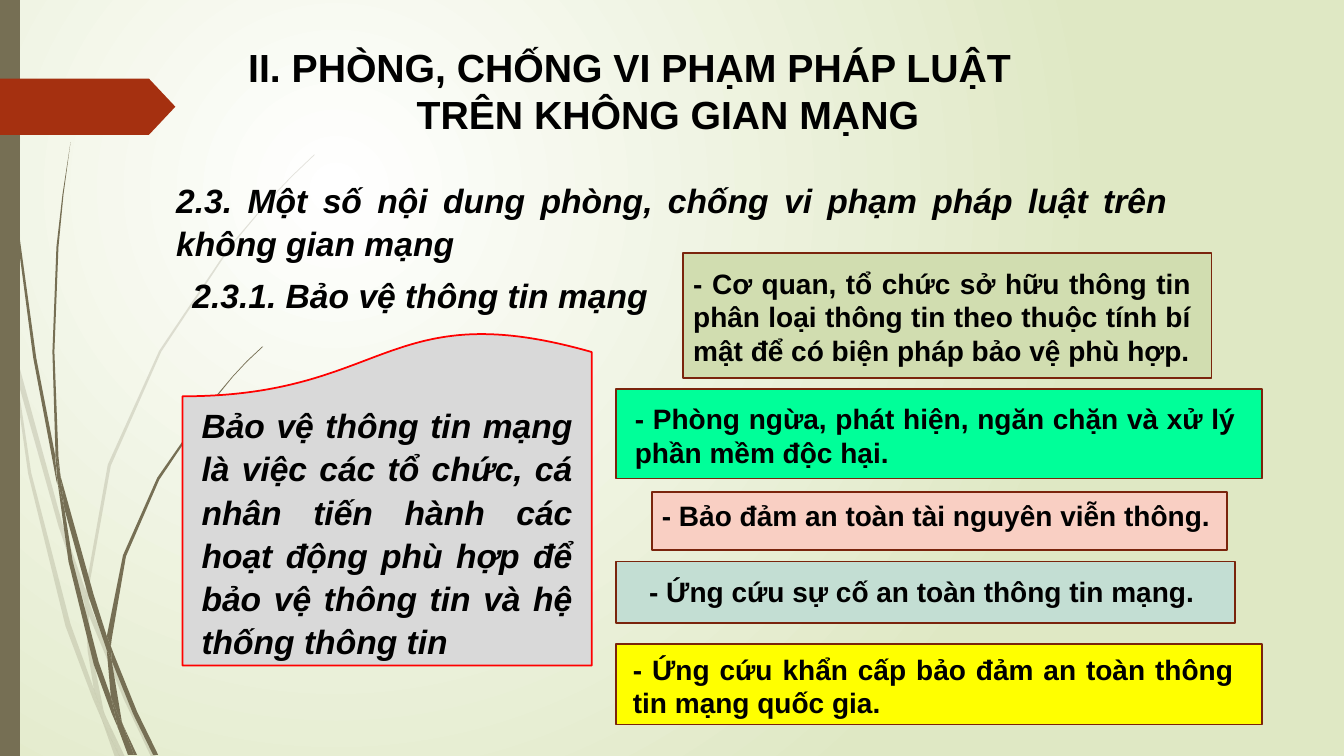
from lxml import etree
from pptx import Presentation
from pptx.dml.color import RGBColor
from pptx.enum.shapes import MSO_SHAPE
from pptx.enum.text import MSO_ANCHOR, PP_ALIGN
from pptx.oxml.ns import qn
from pptx.util import Cm, Pt

RECTANGLE = MSO_SHAPE.RECTANGLE
PENTAGON = MSO_SHAPE.PENTAGON
DOCUMENT = MSO_SHAPE.FLOWCHART_DOCUMENT
TOP = MSO_ANCHOR.TOP
CENTER = PP_ALIGN.CENTER
JUSTIFY = PP_ALIGN.JUSTIFY

BLACK = RGBColor(0x00, 0x00, 0x00)
WHITE = RGBColor(0xFF, 0xFF, 0xFF)
PALE_GREEN = RGBColor(0xDF, 0xE8, 0xC4)
OLIVE = RGBColor(0x76, 0x6F, 0x54)
RUST = RGBColor(0xA5, 0x30, 0x10)
DARK_RUST = RGBColor(0x7A, 0x24, 0x0C)
RED = RGBColor(0xFF, 0x00, 0x00)
GRAY = RGBColor(0xD9, 0xD9, 0xD9)
SAGE = RGBColor(0xD1, 0xDD, 0xB0)
MINT = RGBColor(0x00, 0xFF, 0x99)
PINK = RGBColor(0xF9, 0xCF, 0xC3)
TEAL = RGBColor(0xC3, 0xDE, 0xD3)
YELLOW = RGBColor(0xFF, 0xFF, 0x00)

FONT = "Arial"
SLIDE_WIDTH, SLIDE_HEIGHT = 33.87, 19.05
GRASS_UNIT = Cm(2.54) / 100

LIGHT_GRASS = [
    [(11, 350), (9, 322), (0, 282), (0, 299), (10, 344)],
    [(58, 522), (84, 599), (85, 586), (62, 520), (14, 345), (17, 376)],
    [(92, 607), (88, 596), (88, 610), (123, 694), (150, 751), (155, 751), (127, 692)],
    [(119, 751), (124, 751), (105, 711)],
    [(93, 683), (70, 619), (31, 469), (17, 376), (11, 350), (28, 470), (65, 621),
     (92, 693), (101, 714), (99, 707)],
    [(84, 599), (87, 646), (93, 683), (96, 692), (105, 711), (103, 706), (91, 646),
     (88, 610), (88, 608)],
    [(88, 584), (110, 462), (160, 349), (229, 245), (268, 198), (290, 175), (312, 154),
     (312, 153), (289, 175), (268, 197), (228, 244), (158, 348), (107, 461), (85, 584),
     (85, 586), (88, 596)],
    [(101, 714), (114, 751), (119, 751)],
    [(88, 608), (88, 610), (88, 596), (85, 586), (84, 599)],
    [(96, 692), (93, 683), (99, 707), (101, 714), (119, 751), (105, 711)],
]
DARK_GRASS = [
    [(7, 110), (17, 233), (33, 355), (56, 477), (57, 481), (55, 457), (55, 453),
     (36, 355), (19, 232), (8, 109), (5, 48), (4, 0), (3, 0), (4, 48)],
    [(88, 592), (106, 645), (106, 633), (106, 631), (93, 590), (60, 472), (64, 505)],
    [(113, 649), (110, 641), (111, 656), (132, 708), (152, 749), (157, 749), (136, 706)],
    [(110, 691), (98, 657), (72, 556), (64, 505), (57, 477), (68, 557), (93, 659),
     (111, 708), (117, 722), (116, 717)],
    [(60, 472), (58, 453), (54, 349), (58, 245), (63, 193), (70, 141), (62, 193),
     (56, 245), (52, 349), (55, 449)],
    [(133, 749), (136, 749), (122, 719)],
    [(57, 477), (64, 505), (60, 472), (55, 449), (55, 453)],
    [(111, 633), (125, 552), (158, 476), (205, 406), (231, 374), (245, 359), (261, 344),
     (260, 344), (245, 358), (231, 373), (204, 405), (156, 474), (122, 551), (106, 631),
     (110, 641)],
    [(117, 722), (127, 749), (131, 749)],
    [(106, 645), (110, 691), (116, 706), (122, 719), (121, 716), (111, 656), (109, 651)],
    [(106, 645), (109, 651), (111, 656), (110, 641), (106, 631), (106, 633)],
    [(116, 706), (110, 691), (116, 717), (117, 722), (130, 749), (133, 749), (122, 719)],
]
CARDS = [
    ((17.22, 6.38, 13.31, 3.15), SAGE, (0.25, 0.33, 0.51),
     "- Cơ quan, tổ chức sở hữu thông tin phân loại thông tin theo thuộc tính bí mật "
     "để có biện pháp bảo vệ phù hợp."),
    ((15.52, 9.8, 16.28, 2.26), MINT, (0.48, 0.33, 0.66),
     "- Phòng ngừa, phát hiện, ngăn chặn và xử lý phần mềm độc hại."),
    ((16.43, 12.4, 14.5, 1.47), PINK, (0.25, 0.15, 0.25),
     "- Bảo đảm an toàn tài nguyên viễn thông."),
    ((15.52, 14.15, 15.6, 1.55), TEAL, (0.84, 0.33, 0.46),
     "- Ứng cứu sự cố an toàn thông tin mạng."),
    ((15.52, 16.23, 16.28, 2.03), YELLOW, (0.43, 0.2, 0.71),
     "- Ứng cứu khẩn cấp bảo đảm an toàn thông tin mạng quốc gia."),
]


def paint(shape, fill, line=None):
    """Give a shape a flat fill, and an outline when a line colour is named."""
    shape.shadow.inherit = False
    shape.fill.solid()
    shape.fill.fore_color.rgb = fill
    if line is None:
        shape.line.fill.background()
    else:
        shape.line.color.rgb = line
        shape.line.width = Pt(1.25)


def add_box(slide, kind, box, fill, line=None):
    """Add a painted preset shape in a box given in centimetres."""
    shape = slide.shapes.add_shape(kind, *map(Cm, box))
    paint(shape, fill, line)
    return shape


def write(paragraph, text, size, alignment, italic=False):
    """Add one bold run to a paragraph."""
    paragraph.alignment = alignment
    run = paragraph.add_run()
    run.text = text
    font = run.font
    font.name, font.size, font.bold, font.italic = FONT, Pt(size), True, italic
    font.color.rgb = BLACK


def set_frame(frame, left=0.25, top=0.13, right=0.25):
    """Wrap a text frame from the top with insets in centimetres."""
    frame.word_wrap = True
    frame.vertical_anchor = TOP
    frame.margin_left, frame.margin_top, frame.margin_right = Cm(left), Cm(top), Cm(right)
    frame.margin_bottom = Cm(0.13)


def add_grass(slide, outlines, opacity):
    """Add a tuft of grass from outlines in hundredths of an inch."""
    for outline in outlines:
        builder = slide.shapes.build_freeform(*outline[0], scale=GRASS_UNIT)
        builder.add_line_segments(outline[1:], close=True)
        blade = builder.convert_to_shape()
        paint(blade, OLIVE)
        if opacity < 100:
            color = blade.fill._xPr.find(qn("a:solidFill"))[0]
            etree.SubElement(color, qn("a:alpha"), val=str(opacity * 1000))


def add_background(slide):
    """Fill the background with a round gradient."""
    fill = slide.background.fill
    fill.gradient()
    for stop, color, position in zip(fill.gradient_stops, (WHITE, PALE_GREEN), (0, 1)):
        stop.color.rgb = color
        stop.position = position
    gradient = slide.background._cSld.find(".//" + qn("a:gradFill"))
    gradient.remove(gradient.find(qn("a:lin")))
    circle = etree.SubElement(gradient, qn("a:path"), {"path": "circle"})
    etree.SubElement(circle, qn("a:fillToRect"), l="50000", t="50000", r="100000", b="100000")


def add_decoration(slide):
    """Add the grass, the side bar and the arrow tab on the left edge."""
    add_grass(slide, LIGHT_GRASS, 20)
    add_grass(slide, DARK_GRASS, 100)
    add_box(slide, RECTANGLE, (0, 0, 0.5, SLIDE_HEIGHT), OLIVE)
    tab = add_box(slide, PENTAGON, (0, 1.98, 4.42, 1.42), RUST)
    tab.adjustments[0] = 0.47


def add_title(slide, box):
    """Place the two-line title, its first line set left of centre."""
    title = slide.shapes.title
    title.left, title.top, title.width, title.height = map(Cm, box)
    frame = title.text_frame
    set_frame(frame)
    lines = (("II. PHÒNG, CHỐNG VI PHẠM PHÁP LUẬT", 1.93), ("TRÊN KHÔNG GIAN MẠNG", 0))
    for index, (text, right_indent) in enumerate(lines):
        paragraph = frame.add_paragraph() if index else frame.paragraphs[0]
        write(paragraph, text, 28, CENTER)
        paragraph._p.get_or_add_pPr().set("marR", str(Cm(right_indent)))


def add_passage(slide, box, text):
    """Add a justified italic text box."""
    frame = slide.shapes.add_textbox(*map(Cm, box)).text_frame
    set_frame(frame)
    paragraph = frame.paragraphs[0]
    paragraph.line_spacing = 1.07
    paragraph.space_after = Pt(3)
    write(paragraph, text, 24, JUSTIFY, italic=True)


def add_definition(slide, box):
    """Add the wavy panel with the definition in it."""
    left, top, width, height = box
    add_box(slide, DOCUMENT, box, GRAY, RED).rotation = 180
    add_passage(slide, (left + 0.23, top + 1.7, width - 0.46, height - 1.7),
                "Bảo vệ thông tin mạng là việc các tổ chức, cá nhân tiến hành các hoạt động "
                "phù hợp để bảo vệ thông tin và hệ thống thông tin")


def add_card(slide, box, fill, insets, text):
    """Add a coloured card with justified text."""
    frame = add_box(slide, RECTANGLE, box, fill, DARK_RUST).text_frame
    set_frame(frame, *insets)
    write(frame.paragraphs[0], text, 20, JUSTIFY)


def main():
    """Build the slide and save it."""
    presentation = Presentation()
    presentation.slide_width, presentation.slide_height = Cm(SLIDE_WIDTH), Cm(SLIDE_HEIGHT)
    slide = presentation.slides.add_slide(presentation.slide_layouts[5])
    add_background(slide)
    add_decoration(slide)
    add_title(slide, (4.83, 0.97, 24, 2.64))
    add_passage(slide, (4.19, 4.34, 25.48, 2.39),
                "2.3. Một số nội dung phòng, chống vi phạm pháp luật trên không gian mạng")
    add_passage(slide, (4.6, 6.73, 13.11, 1.27), "2.3.1. Bảo vệ thông tin mạng")
    add_definition(slide, (4.6, 8.31, 10.31, 8.46))
    for card in CARDS:
        add_card(slide, *card)
    presentation.save("out.pptx")


if __name__ == "__main__":
    main()
